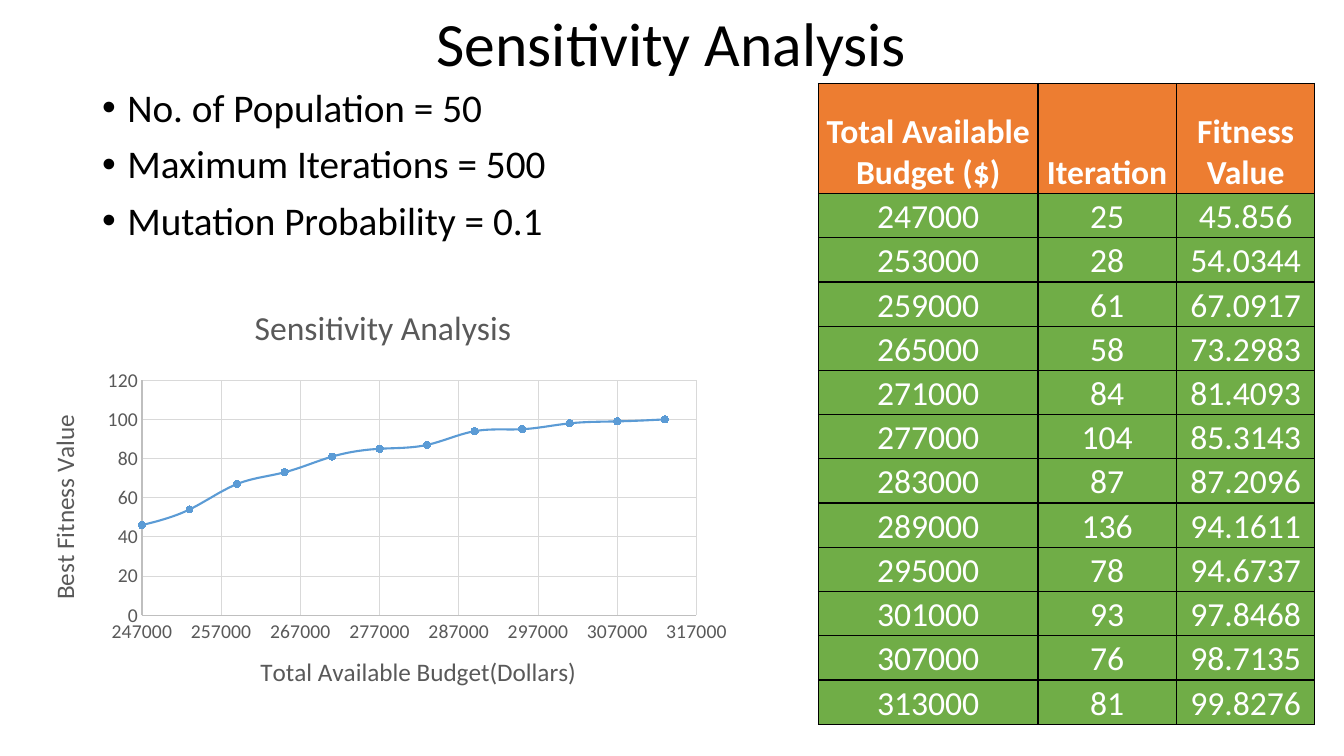
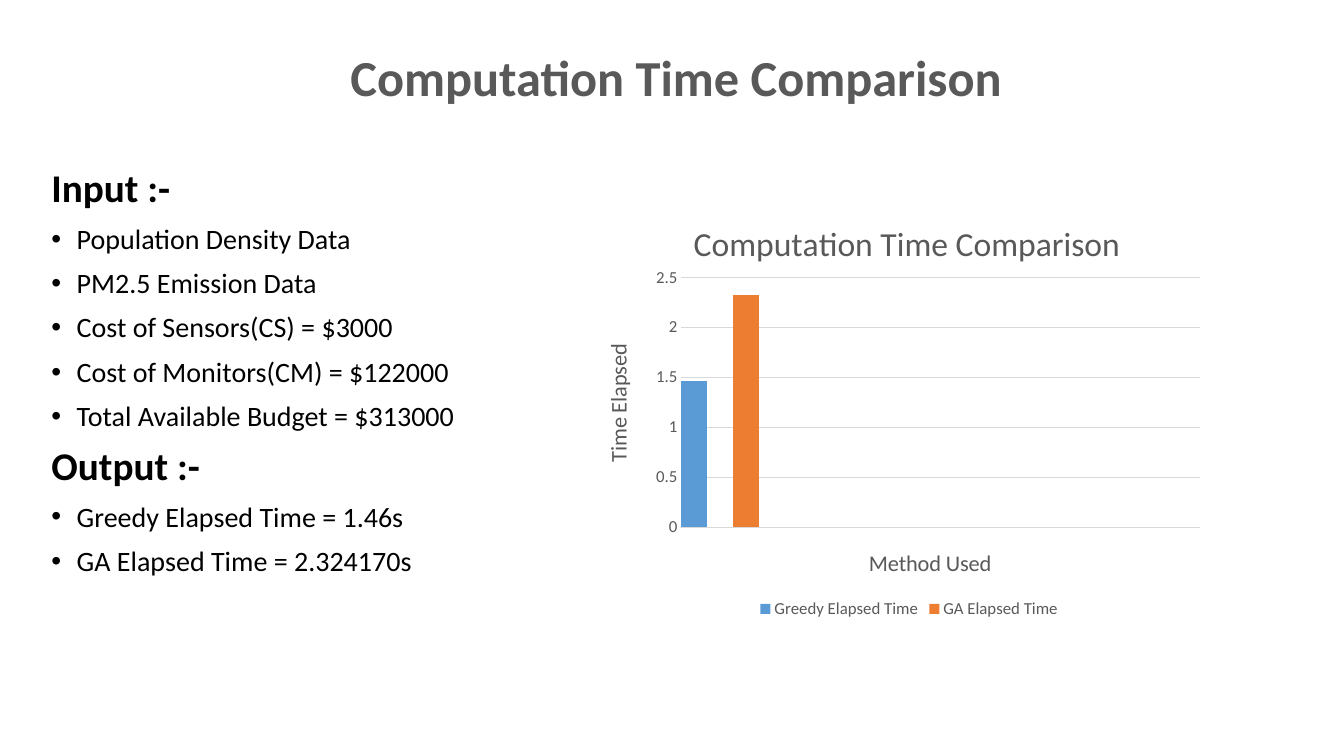
from lxml import etree
from pptx import Presentation
from pptx.chart.data import CategoryChartData, XyChartData
from pptx.dml.color import RGBColor
from pptx.enum.chart import XL_CHART_TYPE, XL_LEGEND_POSITION, XL_MARKER_STYLE, XL_TICK_MARK
from pptx.enum.text import MSO_ANCHOR, MSO_AUTO_SIZE, PP_ALIGN
from pptx.oxml.ns import qn
from pptx.util import Inches, Pt

SCATTER = XL_CHART_TYPE.XY_SCATTER_SMOOTH
COLUMNS = XL_CHART_TYPE.COLUMN_CLUSTERED
BOTTOM_LEGEND = XL_LEGEND_POSITION.BOTTOM
CIRCLE = XL_MARKER_STYLE.CIRCLE
NO_TICK = XL_TICK_MARK.NONE
CENTER = PP_ALIGN.CENTER
MIDDLE, BOTTOM = MSO_ANCHOR.MIDDLE, MSO_ANCHOR.BOTTOM

WIDTH, HEIGHT = Inches(13.33), Inches(7.5)
FONT = "Calibri"
BLACK, WHITE, GRAY = "000000", "FFFFFF", "595959"
BLUE, ORANGE, GREEN = "5B9BD5", "ED7D31", "70AD47"
GRID, AXIS = "D9D9D9", "BFBFBF"

HEADERS = ["Total Available Budget ($)", "Iteration", "Fitness Value"]
ITERATIONS = [25, 28, 61, 58, 84, 104, 87, 136, 78, 93, 76, 81]
FITNESS = [45.856, 54.0344, 67.0917, 73.2983, 81.4093, 85.3143,
           87.2096, 94.1611, 94.6737, 97.8468, 98.7135, 99.8276]
BUDGETS = [247000 + 6000 * step for step in range(len(FITNESS))]


def rgb(color):
    return RGBColor.from_string(color)


def area(left, top, width, height):
    """Turn percentages of the slide into a left, top, width, height tuple."""
    return (int(WIDTH * left / 100), int(HEIGHT * top / 100),
            int(WIDTH * width / 100), int(HEIGHT * height / 100))


def set_values(target, **values):
    for key, value in values.items():
        setattr(target, key, value)


def set_font(font, size, color, bold=False):
    set_values(font, name=FONT, size=Pt(size), bold=bold)
    font.color.rgb = rgb(color)


def set_line(line, color, width=0.75):
    line.color.rgb = rgb(color)
    line.width = Pt(width)


def move(placeholder, box):
    left, top, width, height = box
    set_values(placeholder, left=left, top=top, width=width, height=height)
    set_values(placeholder.text_frame, word_wrap=True, auto_size=MSO_AUTO_SIZE.NONE)


def add_slide(deck, title, box, size, color, bold=False):
    slide = deck.slides.add_slide(deck.slide_layouts[1])
    heading = slide.shapes.title
    move(heading, box)
    heading.text_frame.vertical_anchor = MIDDLE
    paragraph = heading.text_frame.paragraphs[0]
    paragraph.text = title
    set_values(paragraph, alignment=CENTER, line_spacing=0.9)
    set_font(paragraph.runs[0].font, size, color, bold)
    return slide


def set_bullet(paragraph, bulleted):
    properties = paragraph._p.get_or_add_pPr()
    indent = Inches(0.25) if bulleted else 0
    properties.set("marL", str(indent))
    properties.set("indent", str(-indent))
    if bulleted:
        etree.SubElement(properties, qn("a:buFont")).set("typeface", "Arial")
        etree.SubElement(properties, qn("a:buChar")).set("char", "•")
    else:
        etree.SubElement(properties, qn("a:buNone"))


def fill_body(slide, box, sections, size):
    """Write (heading or None, bullet texts) sections into the body placeholder."""
    body = slide.placeholders[1]
    move(body, box)
    lines = []
    for heading, bullets in sections:
        if heading:
            lines.append((heading, False))
        lines += [(bullet, True) for bullet in bullets]
    frame = body.text_frame
    for index, (text, bulleted) in enumerate(lines):
        paragraph = frame.add_paragraph() if index else frame.paragraphs[0]
        paragraph.text = text
        set_values(paragraph, line_spacing=0.9, space_before=Pt(10))
        set_bullet(paragraph, bulleted)
        set_font(paragraph.runs[0].font, size if bulleted else 28, BLACK, not bulleted)


def set_borders(cell):
    properties = cell._tc.get_or_add_tcPr()
    for side in ("a:lnL", "a:lnR", "a:lnT", "a:lnB"):
        border = etree.SubElement(properties, qn(side), w=str(Pt(1)))
        fill = etree.SubElement(border, qn("a:solidFill"))
        etree.SubElement(fill, qn("a:srgbClr"), val=BLACK)


def fill_cell(cell, text, color, bold):
    set_borders(cell)
    cell.fill.solid()
    cell.fill.fore_color.rgb = rgb(color)
    margin = Inches(0.01)
    set_values(cell, margin_left=margin, margin_right=margin, margin_top=margin,
               margin_bottom=0, vertical_anchor=BOTTOM)
    paragraph = cell.text_frame.paragraphs[0]
    paragraph.text = text
    paragraph.alignment = CENTER
    set_font(paragraph.runs[0].font, 24, WHITE, bold)


def add_results_table(slide, box, column_shares, header_share):
    """Draw the results; header_share is the header's height in body rows."""
    rows = [HEADERS, *zip(BUDGETS, ITERATIONS, FITNESS)]
    table = slide.shapes.add_table(len(rows), len(HEADERS), *box).table
    for column, share in zip(table.columns, column_shares):
        column.width = int(box[2] * share / sum(column_shares))
    row_height = box[3] / (len(rows) - 1 + header_share)
    for index, values in enumerate(rows):
        is_header = index == 0
        table.rows[index].height = int(row_height * (header_share if is_header else 1))
        for cell, value in zip(table.rows[index].cells, values):
            fill_cell(cell, str(value), ORANGE if is_header else GREEN, is_header)


def set_layout(element, **shares):
    """Place a chart part by shares of the chart: x and y, or x, y, w and h."""
    old = element.find(qn("c:layout"))
    if old is not None:
        element.remove(old)
    layout = etree.Element(qn("c:layout"))
    manual = etree.SubElement(layout, qn("c:manualLayout"))
    if "w" in shares:
        etree.SubElement(manual, qn("c:layoutTarget"), val="inner")
    for key in ("xMode", "yMode"):
        etree.SubElement(manual, qn("c:" + key), val="edge")
    for key, share in shares.items():
        etree.SubElement(manual, qn("c:" + key), val=str(share))
    text = element.find(qn("c:tx"))
    if text is None:
        element.insert(0, layout)
    else:
        text.addnext(layout)


def set_chart_text(title, text, size, x, y, upright=False):
    frame = title.text_frame
    frame.text = text
    set_font(frame.paragraphs[0].runs[0].font, size, GRAY)
    if upright:
        properties = frame._txBody.find(qn("a:bodyPr"))
        properties.set("rot", "-5400000")
        properties.set("vert", "horz")
    set_layout(title._element, x=x, y=y)


def style_axis(axis, size, low, high, step, line=None):
    set_values(axis, minimum_scale=low, maximum_scale=high, major_unit=step,
               major_tick_mark=NO_TICK, minor_tick_mark=NO_TICK, has_major_gridlines=True)
    set_line(axis.major_gridlines.format.line, GRID)
    set_font(axis.tick_labels.font, size, GRAY)
    set_values(axis.tick_labels, number_format="General", number_format_is_linked=False)
    if line:
        set_line(axis.format.line, line)
    else:
        axis.format.line.fill.background()


def add_chart(slide, kind, box, data, plot):
    """Add a chart whose inner plot area is plot, in shares of the chart."""
    chart = slide.shapes.add_chart(kind, *box, data).chart
    set_font(chart.font, 10, BLACK)
    set_values(chart, has_title=True, has_legend=False)
    chart.plots[0].vary_by_categories = False
    set_layout(chart._chartSpace.chart.plotArea, **dict(zip("xywh", plot)))
    return chart


def smooth_curve(curve):
    """Turn smoothing on in XML, as a scatter series has no such property."""
    smooth = curve._element.find(qn("c:smooth"))
    if smooth is None:
        smooth = etree.SubElement(curve._element, qn("c:smooth"))
    smooth.set("val", "1")


def add_fitness_chart(slide, box):
    data = XyChartData()
    points = data.add_series("Best Fitness Value")
    for budget, fitness in zip(BUDGETS, FITNESS):
        points.add_data_point(budget, round(fitness))
    chart = add_chart(slide, SCATTER, box, data, (0.16, 0.22, 0.78, 0.55))
    style_axis(chart.category_axis, 14, 247000, 317000, 10000, AXIS)
    style_axis(chart.value_axis, 14, 0, 120, 20, AXIS)
    set_chart_text(chart.chart_title, "Sensitivity Analysis", 24, 0.31, 0.03)
    set_chart_text(chart.category_axis.axis_title, "Total Available Budget(Dollars)",
                   18, 0.32, 0.85)
    set_chart_text(chart.value_axis.axis_title, "Best Fitness Value", 18, 0.02, 0.29, True)
    curve = chart.plots[0].series[0]
    smooth_curve(curve)
    set_line(curve.format.line, BLUE, 1.5)
    set_values(curve.marker, style=CIRCLE, size=5)
    curve.marker.format.fill.solid()
    curve.marker.format.fill.fore_color.rgb = rgb(BLUE)
    set_line(curve.marker.format.line, BLUE)


def hide_legend_entry(legend, index):
    entry = etree.Element(qn("c:legendEntry"))
    etree.SubElement(entry, qn("c:idx"), val=str(index))
    etree.SubElement(entry, qn("c:delete"), val="1")
    legend._element.find(qn("c:legendPos")).addnext(entry)


def add_time_chart(slide, box):
    data = CategoryChartData()
    data.categories = ["1", "2", "3", "4"]
    methods = [("Greedy Elapsed Time", 1.46, BLUE), ("GA Elapsed Time", 2.32, ORANGE),
               ("Series 3", None, "A5A5A5")]
    for name, seconds, _ in methods:
        data.add_series(name, [seconds, None, None, None])
    chart = add_chart(slide, COLUMNS, box, data, (0.14, 0.17, 0.82, 0.6))
    set_values(chart.plots[0], overlap=-100, gap_width=0)
    style_axis(chart.value_axis, 12, 0, 2.5, 0.5)
    set_chart_text(chart.chart_title, "Computation Time Comparison", 24, 0.15, 0.02)
    set_chart_text(chart.category_axis.axis_title, "Method Used", 16, 0.43, 0.81)
    set_chart_text(chart.value_axis.axis_title, "Time Elapsed", 16, 0.01, 0.32, True)
    chart.category_axis.visible = False
    for bars, (_, _, color) in zip(chart.plots[0].series, methods):
        bars.format.fill.solid()
        bars.format.fill.fore_color.rgb = rgb(color)
    chart.has_legend = True
    set_values(chart.legend, position=BOTTOM_LEGEND, include_in_layout=False)
    set_font(chart.legend.font, 12, GRAY)
    hide_legend_entry(chart.legend, 2)


def main():
    deck = Presentation()
    set_values(deck, slide_width=WIDTH, slide_height=HEIGHT)

    sensitivity = add_slide(deck, "Sensitivity Analysis", area(6.85, 2, 86.25, 8.27), 44, BLACK)
    fill_body(sensitivity, area(6.85, 11.03, 38, 26.13), [
        (None, ["No. of Population = 50", "Maximum Iterations = 500",
                "Mutation Probability = 0.1"])], 28)
    add_results_table(sensitivity, area(60.9, 11.05, 36.94, 84.75), (2.17, 1.37, 1.37), 2.49)
    add_fitness_chart(sensitivity, area(2.1, 37.87, 52.9, 56.53))

    timing = add_slide(deck, "Computation Time Comparison", area(7.2, 6.75, 86.25, 7.73),
                       36, GRAY, True)
    fill_body(timing, area(3.08, 21.67, 33.9, 68.4), [
        ("Input :-", ["Population Density Data", "PM2.5 Emission Data",
                      "Cost of Sensors(CS) = $3000", "Cost of Monitors(CM) = $122000",
                      "Total Available Budget = $313000"]),
        ("Output :-", ["Greedy Elapsed Time = 1.46s", "GA Elapsed Time = 2.324170s"])], 20)
    add_time_chart(timing, area(44.1, 27.33, 47.1, 55.07))

    deck.save("out.pptx")


if __name__ == "__main__":
    main()
